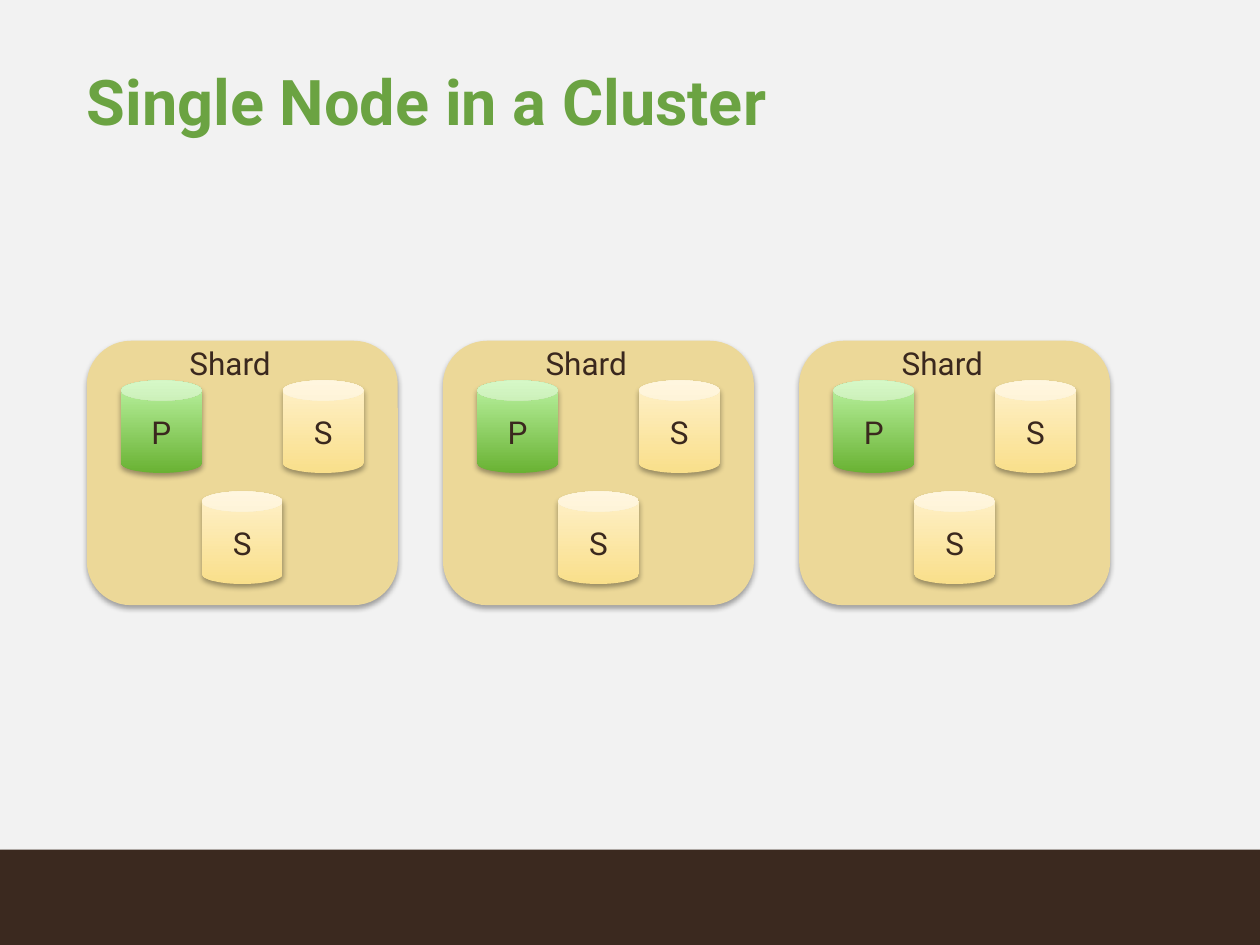
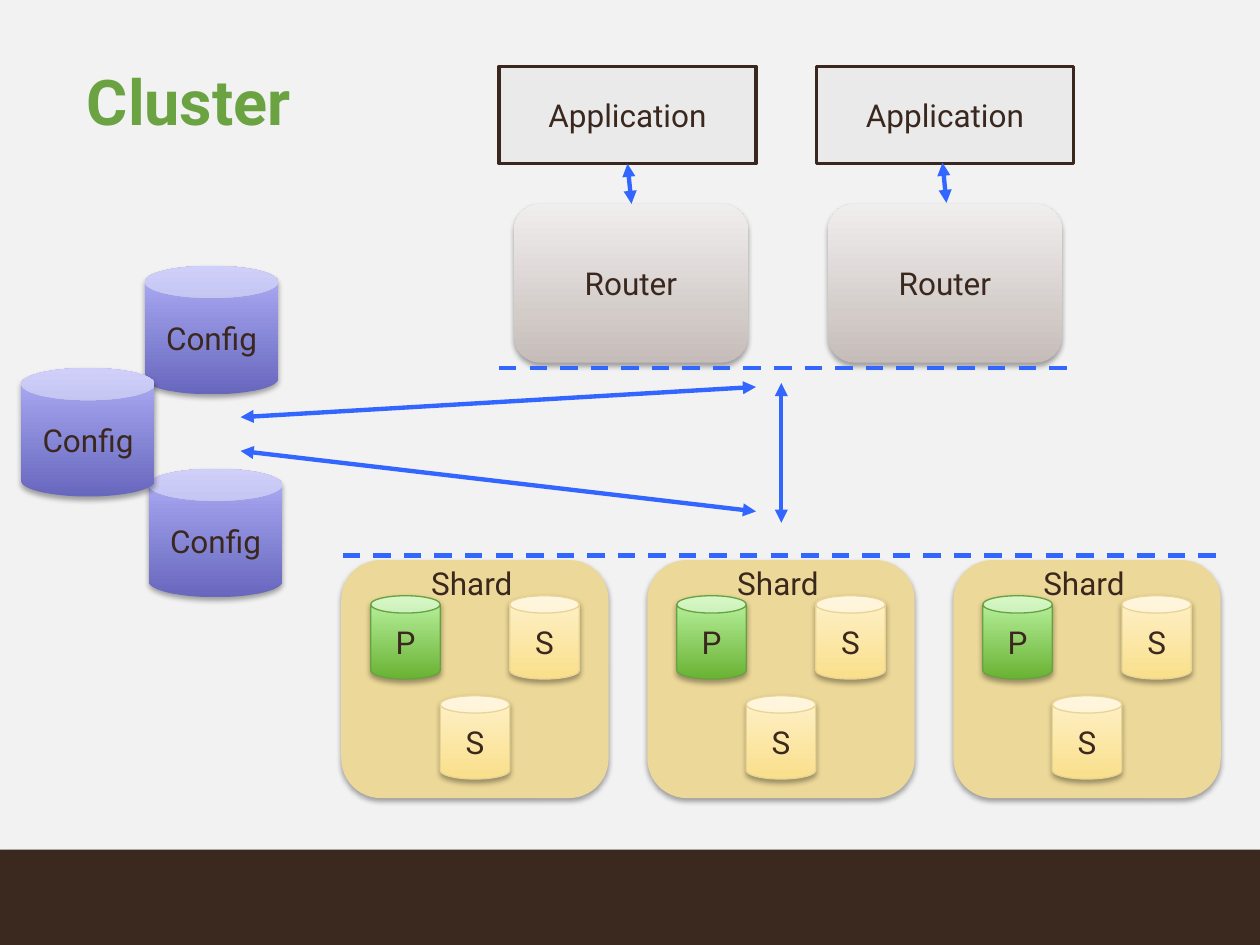
from lxml import etree
from pptx import Presentation
from pptx.dml.color import RGBColor
from pptx.enum.dml import MSO_LINE
from pptx.enum.shapes import MSO_CONNECTOR, MSO_SHAPE
from pptx.enum.text import MSO_ANCHOR, PP_ALIGN
from pptx.oxml.ns import qn
from pptx.util import Cm, Pt

RECT = MSO_SHAPE.RECTANGLE
ROUNDED = MSO_SHAPE.ROUNDED_RECTANGLE
CAN = MSO_SHAPE.CAN
STRAIGHT = MSO_CONNECTOR.STRAIGHT
DASH = MSO_LINE.DASH
LEFT, CENTER = PP_ALIGN.LEFT, PP_ALIGN.CENTER
MIDDLE = MSO_ANCHOR.MIDDLE

colour = RGBColor.from_string
FONT = "Roboto"
PAPER, BROWN, INK, LEAF = "F2F2F2", "3B291F", "3A281E", "6BA342"
SAND, GREY, BLUE = "ECD898", "EAEAEA", "3366FF"
# Gradients run from bottom to top
GREEN = ("69B233", "BCF4A3")
YELLOW = ("F9DF8B", "FFF1CA")
VIOLET = ("6867BE", "AFAFF8")
STONE = ("C6BDBA", "F0EEED")


def write(shape, text, size=18, ink=INK, bold=False, align=CENTER):
    paragraph = shape.text_frame.paragraphs[0]
    paragraph.text = text
    paragraph.alignment = align
    font = paragraph.runs[0].font
    font.name, font.size, font.bold = FONT, Pt(size), bold
    font.color.rgb = colour(ink)


def add_block(shapes, kind, box, fill, text="", outline=None, width=0.75, shadow=True):
    block = shapes.add_shape(kind, *[Cm(length) for length in box])
    if isinstance(fill, tuple):
        block.fill.gradient()
        block.fill.gradient_angle = 90
        for stop, shade in zip(block.fill.gradient_stops, fill):
            stop.color.rgb = colour(shade)
    else:
        block.fill.solid()
        block.fill.fore_color.rgb = colour(fill)
    if outline:
        block.line.color.rgb = colour(outline)
        block.line.width = Pt(width)
    else:
        block.line.fill.background()
    block.shadow.inherit = False
    if shadow:
        effects = block.element.spPr.find(qn("a:effectLst"))
        outer = etree.SubElement(effects, qn("a:outerShdw"), blurRad="40000",
                                 dist="23000", dir="5400000", rotWithShape="0")
        black = etree.SubElement(outer, qn("a:srgbClr"), val="000000")
        etree.SubElement(black, qn("a:alpha"), val="35000")
    if text:
        block.text_frame.vertical_anchor = MIDDLE
        write(block, text)
    return block


prs = Presentation()
prs.slide_width, prs.slide_height = Cm(25.4), Cm(19.05)

# Shared look: background, title place and bottom band
layout = prs.slide_layouts[5]
background = prs.slide_master.background.fill
background.solid()
background.fore_color.rgb = colour(PAPER)
title_place = layout.placeholders[0]
title_place.left, title_place.top = Cm(1.75), Cm(0.94)
title_place.width, title_place.height = Cm(21.95), Cm(2.36)

node_slide = prs.slides.add_slide(layout)
cluster_slide = prs.slides.add_slide(layout)
band = add_block(node_slide.shapes, RECT, (0, 17.13, 25.4, 1.92), BROWN)
layout.shapes.element.insert(2, band.element)

# Titles
for slide, heading in ((node_slide, "Single Node in a Cluster"), (cluster_slide, "Cluster")):
    title = slide.shapes.title
    write(title, heading, 36, LEAF, True, LEFT)
    frame = title.text_frame
    frame.vertical_anchor = MIDDLE
    frame.margin_left = frame.margin_right = frame.margin_top = frame.margin_bottom = 0
    frame.paragraphs[0].line_spacing = 0.9

# Shards: members are placed as shares of the shard's width and height
members = (
    ("P", 0.11, 0.15, GREEN, "68A23E"),
    ("S", 0.63, 0.15, YELLOW, "E9D493"),
    ("S", 0.37, 0.57, YELLOW, "E9D493"),
)
shard_rows = (
    (node_slide, 1.75, 6.87, 6.27, 5.33, 7.18, False),
    (cluster_slide, 6.88, 11.29, 5.39, 4.8, 6.17, True),
)
for slide, row_left, top, width, height, pitch, outlined in shard_rows:
    for column in range(3):
        left = row_left + column * pitch
        shard = slide.shapes.add_group_shape().shapes
        add_block(shard, ROUNDED, (left, top, width, height), SAND)
        for role, x, y, fill, edge in members:
            box = (left + x * width, top + y * height, 0.26 * width, 0.35 * height)
            add_block(shard, CAN, box, fill, role, edge if outlined else None)
        label = shard.add_textbox(Cm(left + 0.29 * width), Cm(top - 0.05),
                                  Cm(0.42 * width), Cm(0.19 * height))
        label.text_frame.word_wrap = True
        write(label, "Shard", align=LEFT)

# Routers and applications
for column in range(2):
    add_block(cluster_slide.shapes, ROUNDED, (10.36 + column * 6.33, 4.11, 4.72, 3.2),
              STONE, "Router")
    add_block(cluster_slide.shapes, RECT, (10.06 + column * 6.4, 1.34, 5.18, 1.96),
              GREY, "Application", INK, 2, shadow=False)

# Config servers
for left, top in ((2.92, 5.36), (3, 9.45), (0.43, 7.42)):
    add_block(cluster_slide.shapes, CAN, (left, top, 2.69, 2.59), VIOLET, "Config")

# Links: dashed borders between tiers, two-way arrows for traffic
links = (
    (12.65, 3.3, 12.73, 4.11, False),
    (19, 3.28, 19.08, 4.09, False),
    (10.06, 7.42, 21.64, 7.42, True),
    (6.91, 11.2, 24.61, 11.2, True),
    (15.24, 7.8, 4.85, 8.41, False),
    (15.24, 10.31, 4.85, 9.09, False),
    (15.75, 7.72, 15.75, 10.54, False),
)
for *ends, dashed in links:
    link = cluster_slide.shapes.add_connector(STRAIGHT, *[Cm(end) for end in ends])
    link.line.color.rgb = colour(BLUE)
    link.line.width = Pt(2.5)
    if dashed:
        link.line.dash_style = DASH
    else:
        stroke = link.element.spPr.find(qn("a:ln"))
        for tip in ("a:headEnd", "a:tailEnd"):
            etree.SubElement(stroke, qn(tip), type="triangle")
    etree.SubElement(link.element.spPr, qn("a:effectLst"))

prs.save("out.pptx")
